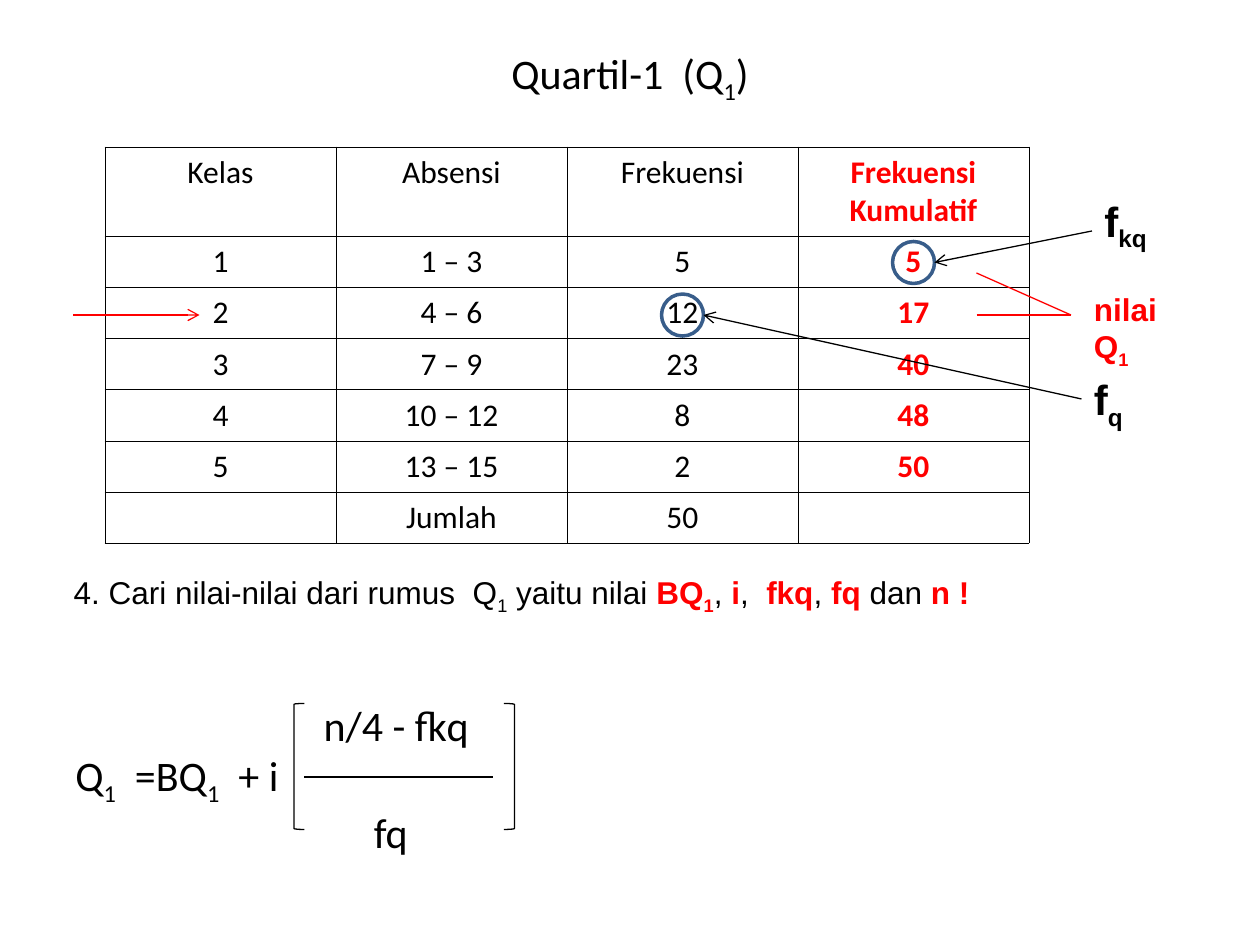
from dataclasses import dataclass

from lxml.etree import SubElement
from pptx import Presentation
from pptx.dml.color import RGBColor as RGB
from pptx.enum.shapes import MSO_CONNECTOR as CONN, MSO_SHAPE as SHAPE
from pptx.enum.text import MSO_ANCHOR as ANCHOR, MSO_AUTO_SIZE as AUTO, PP_ALIGN as ALIGN
from pptx.oxml import parse_xml
from pptx.oxml.ns import nsdecls, qn
from pptx.util import Inches, Pt


@dataclass(frozen=True)
class Theme:
    ink: str = "000000"
    red: str = "FF0000"
    ring: str = "385D8A"
    body: str = "Calibri"
    note: str = "Arial"
    large: int = 24
    small: int = 18
    thin: float = 0.75
    thick: float = 2
    border: float = 0.45


T = Theme()
COLS, ROWS = 120, 90
PLAIN, SUB, BOLD, RED = "", "s", "b", "r"

TABLE = [
    ["Kelas", "Absensi", "Frekuensi", "Frekuensi Kumulatif"],
    ["1", "1 – 3", "5", "5"],
    ["2", "4 – 6", "12", "17"],
    ["3", "7 – 9", "23", "40"],
    ["4", "10 – 12", "8", "48"],
    ["5", "13 – 15", "2", "50"],
    ["", "Jumlah", "50", ""],
]


def grid(*cells):
    return [Inches(c / 12) for c in cells]


def add_run(p, text, size, font, marks=PLAIN):
    r = p.add_run()
    r.text = text
    r.font.size, r.font.name = Pt(size), font
    r.font.bold = BOLD in marks or RED in marks
    r.font.color.rgb = RGB.from_string(T.red if RED in marks else T.ink)
    if SUB in marks:
        r.font._element.set("baseline", "-25000")


def add_text(s, box, paragraphs, size, font, align=ALIGN.LEFT, indents=(), title=False):
    tf = s.shapes.add_textbox(*grid(*box)).text_frame
    tf.word_wrap = True
    tf.auto_size = AUTO.NONE if title else AUTO.SHAPE_TO_FIT_TEXT
    tf.vertical_anchor = ANCHOR.MIDDLE if title else ANCHOR.TOP
    for i, runs in enumerate(paragraphs):
        p = tf.add_paragraph() if i else tf.paragraphs[0]
        p.alignment = align
        if indents:
            p._p.get_or_add_pPr().set("marL", str(Inches(indents[i])))
        for text, marks in runs:
            add_run(p, text, size, font, marks)


def add_line(s, start, end, color, arrow=False):
    c = s.shapes.add_connector(CONN.STRAIGHT, *grid(*start, *end))
    c.line.color.rgb, c.line.width = RGB.from_string(color), Pt(T.thin)
    if arrow:
        SubElement(c.line._get_or_add_ln(), qn("a:tailEnd"), type="arrow")
    SubElement(c._element.spPr, qn("a:effectLst"))


def add_outline(s, kind, box, color, width):
    sp = s.shapes.add_shape(kind, *grid(*box))
    sp.shadow.inherit = False
    sp.fill.background()
    sp.line.color.rgb, sp.line.width = RGB.from_string(color), Pt(width)


def style_cell(cell):
    cell.fill.background()
    tc_pr = cell._tc.get_or_add_tcPr()
    for i, side in enumerate("LRTB"):
        tc_pr.insert(i, parse_xml(
            f'<a:ln{side} {nsdecls("a")} w="{Pt(T.border)}"><a:solidFill>'
            f'<a:srgbClr val="{T.ink}"/></a:solidFill></a:ln{side}>'))


def add_frequency_table(s, rows, left, top, col, head, row):
    n = len(rows[0])
    frame = s.shapes.add_table(
        len(rows), n, *grid(left, top, n * col, head + row * (len(rows) - 1)))
    table = frame.table
    table.first_row = table.horz_banding = False
    for j in range(n):
        table.columns[j].width = grid(col)[0]
    for i, values in enumerate(rows):
        table.rows[i].height = grid(row if i else head)[0]
        for j, value in enumerate(values):
            cell = table.cell(i, j)
            style_cell(cell)
            p = cell.text_frame.paragraphs[0]
            p.alignment = ALIGN.CENTER
            if value:
                add_run(p, value, T.small, T.body, RED if j == n - 1 else PLAIN)


def add_annotations(s):
    for y in (26, 30):
        add_line(s, (93, y), (102, 30), T.red)
    add_text(s, (103, 27, 10, 8.9), [[("nilai", RED)], [("Q", RED), ("1", RED + SUB)]],
             T.small, T.note)
    add_line(s, (7, 30), (19, 30), T.red, arrow=True)
    for x, y in ((85, 23), (63, 28)):
        add_outline(s, SHAPE.OVAL, (x, y, 4, 4), T.ring, T.thick)
    for start, end, left, top, name in (
        ((104, 22), (89, 25), 104, 18, "kq"),
        ((103, 38), (67, 30), 103, 35, "q"),
    ):
        add_line(s, start, end, T.ink, arrow=True)
        add_text(s, (left, top, 10, 6.7), [[("f", BOLD), (name, BOLD + SUB)]],
                 T.large, T.note)


def add_formula(s):
    add_line(s, (29, 74), (47, 74), T.ink)
    for kind, x in ((SHAPE.LEFT_BRACKET, 28), (SHAPE.RIGHT_BRACKET, 48)):
        add_outline(s, kind, (x, 67, 1, 12), T.ink, T.thin)
    add_text(s, (6, 66, 65, 16.3), [
        [("n/4 - fkq", PLAIN)],
        [("Q", PLAIN), ("1", SUB), ("  =BQ", PLAIN), ("1", SUB), ("  + i", PLAIN)],
        [("fq", PLAIN)],
    ], T.large, T.body, indents=(1.97, 0, 2.37))


def main():
    prs = Presentation()
    prs.slide_width, prs.slide_height = grid(COLS, ROWS)
    s = prs.slides.add_slide(prs.slide_layouts[6])
    add_text(s, (6, 3.6, COLS - 12, 7.4), [[("Quartil-1  (Q", PLAIN), ("1", SUB), (")", PLAIN)]],
             T.large, T.body, ALIGN.CENTER, title=True)
    add_frequency_table(s, TABLE, left=10, top=14, col=22, head=8.45, row=4.87)
    add_annotations(s)
    add_formula(s)
    add_text(s, (5, 54, 105, 5.3), [[
        ("4. Cari nilai-nilai dari rumus  Q", PLAIN), ("1", SUB), (" yaitu nilai ", PLAIN),
        ("BQ", RED), ("1", RED + SUB), (", ", PLAIN), ("i", RED), (",  ", PLAIN),
        ("fkq", RED), (", ", PLAIN), ("fq ", RED), ("dan ", PLAIN), ("n !", RED),
    ]], T.small, T.note, indents=(0.07,))
    prs.save("out.pptx")


if __name__ == "__main__":
    main()
